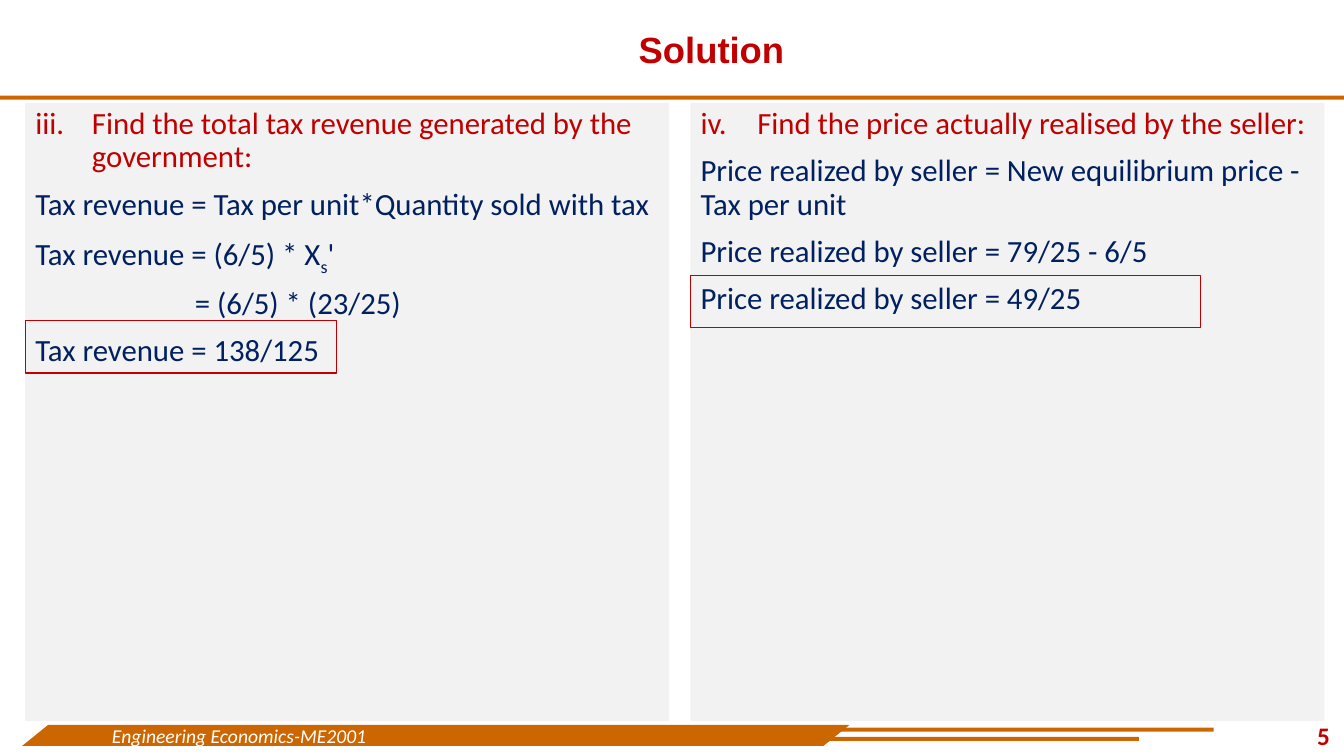
from dataclasses import dataclass

from lxml.etree import SubElement
from pptx import Presentation
from pptx.dml.color import RGBColor
from pptx.enum.shapes import MSO_SHAPE
from pptx.enum.text import MSO_ANCHOR, MSO_AUTO_SIZE, PP_ALIGN
from pptx.oxml.ns import qn
from pptx.util import Pt

RED = RGBColor(0xC0, 0x00, 0x00)
NAVY = RGBColor(0x00, 0x20, 0x60)
ORANGE = RGBColor(0xCC, 0x66, 0x00)
GREY = RGBColor(0xF2, 0xF2, 0xF2)
WHITE = RGBColor(0xFF, 0xFF, 0xFF)


@dataclass
class Box:
    left: float
    top: float
    width: float
    height: float

    def lengths(self):
        return Pt(self.left), Pt(self.top), Pt(self.width), Pt(self.height)


@dataclass
class Line:
    text: str
    subscript: str = ""
    tail: str = ""
    number: int = 0
    indent: float = 0


@dataclass
class Panel:
    box: Box
    lines: list[Line]
    result_box: Box


PANELS = [
    Panel(Box(18, 73.5, 460, 441.4), [
        Line("Find the total tax revenue generated by the government:", number=3),
        Line("Tax revenue = Tax per unit*Quantity sold with tax"),
        Line("Tax revenue = (6/5) * X", "s", "'"),
        Line("= (6/5) * (23/25)", indent=114),
        Line("Tax revenue = 138/125"),
    ], Box(18, 229, 222.5, 37.4)),
    Panel(Box(493.2, 73.5, 452.9, 441.4), [
        Line("Find the price actually realised by the seller:", number=4),
        Line("Price realized by seller = New equilibrium price - Tax per unit"),
        Line("Price realized by seller = 79/25 - 6/5"),
        Line("Price realized by seller = 49/25"),
    ], Box(493.2, 196.6, 364.3, 37.4)),
]
BARS = [Box(0, 68.4, 960, 2.9), Box(537.1, 519.8, 329.8, 2.9),
        Box(554.4, 526.3, 259.2, 2.9)]


def place(sp, box: Box) -> None:
    sp.left, sp.top, sp.width, sp.height = box.lengths()


def style(r, size: float, color: RGBColor, font: str = "Calibri",
          bold: bool = False, italic: bool = False) -> None:
    r.font.name, r.font.size = font, Pt(size)
    r.font.bold, r.font.italic = bold, italic
    r.font.color.rgb = color


def add_filled(slide, kind: MSO_SHAPE, box: Box):
    sp = slide.shapes.add_shape(kind, *box.lengths())
    sp.shadow.inherit = False
    sp.fill.solid()
    sp.fill.fore_color.rgb = ORANGE
    sp.line.fill.background()
    return sp


def add_outline(slide, box: Box) -> None:
    sp = slide.shapes.add_shape(MSO_SHAPE.RECTANGLE, *box.lengths())
    sp.shadow.inherit = False
    sp.fill.background()
    sp.line.color.rgb = RED
    sp.line.width = Pt(1)


def set_bullet(p, line: Line) -> None:
    """Set the indents and either a roman number or no bullet."""
    pPr = p._p.get_or_add_pPr()
    hang = 40.5 if line.number else 0
    pPr.set("marL", str(Pt(line.indent + hang)))
    pPr.set("indent", str(Pt(-hang)))
    if line.number:
        SubElement(pPr, qn("a:buAutoNum"), type="romanLcPeriod",
                   startAt=str(line.number))
    else:
        SubElement(pPr, qn("a:buNone"))


def fill_panel(sp, panel: Panel) -> None:
    place(sp, panel.box)
    sp.fill.solid()
    sp.fill.fore_color.rgb = GREY
    tf = sp.text_frame
    tf.auto_size = MSO_AUTO_SIZE.NONE
    tf.vertical_anchor = MSO_ANCHOR.TOP
    tf.text = "\n".join(line.text for line in panel.lines)
    for i, (p, line) in enumerate(zip(tf.paragraphs, panel.lines)):
        set_bullet(p, line)
        p.line_spacing = 0.9
        p.space_before = Pt(10 if i else 0)
        if line.subscript:
            r = p.add_run()
            r.text = line.subscript
            r._r.get_or_add_rPr().set("baseline", "-25000")
            p.add_run().text = line.tail
        for r in p.runs:
            style(r, 22, RED if line.number else NAVY)


def add_title(slide) -> None:
    sp = slide.shapes.title
    place(sp, Box(94.3, 9.4, 828, 54.7))
    tf = sp.text_frame
    tf.auto_size = MSO_AUTO_SIZE.NONE
    tf.vertical_anchor = MSO_ANCHOR.MIDDLE
    tf.text = "Solution"
    p = tf.paragraphs[0]
    p.alignment = PP_ALIGN.CENTER
    p.line_spacing = 0.9
    style(p.runs[0], 26, RED, "Arial", bold=True)


def add_footer(slide) -> None:
    sp = add_filled(slide, MSO_SHAPE.PARALLELOGRAM, Box(15.8, 517.7, 591.1, 15.1))
    sp.adjustments[0] = 1.24
    tf = sp.text_frame
    tf.vertical_anchor = MSO_ANCHOR.MIDDLE
    tf.text = "Engineering Economics-ME2001"
    p = tf.paragraphs[0]
    p.alignment = PP_ALIGN.LEFT
    style(p.runs[0], 14, WHITE, italic=True)

    number = slide.shapes.add_textbox(*Box(933.8, 511.2, 23.8, 28.8).lengths())
    number.text_frame.text = "5"
    style(number.text_frame.paragraphs[0].runs[0], 18, RED, bold=True)


def main() -> None:
    prs = Presentation()
    prs.slide_width, prs.slide_height = Pt(960), Pt(540)
    slide = prs.slides.add_slide(prs.slide_layouts.get_by_name("Two Content"))
    add_title(slide)
    for bar in BARS:
        add_filled(slide, MSO_SHAPE.RECTANGLE, bar)
    add_footer(slide)
    for idx, panel in enumerate(PANELS, 1):
        fill_panel(slide.placeholders[idx], panel)
        add_outline(slide, panel.result_box)
    prs.save("out.pptx")


if __name__ == "__main__":
    main()
